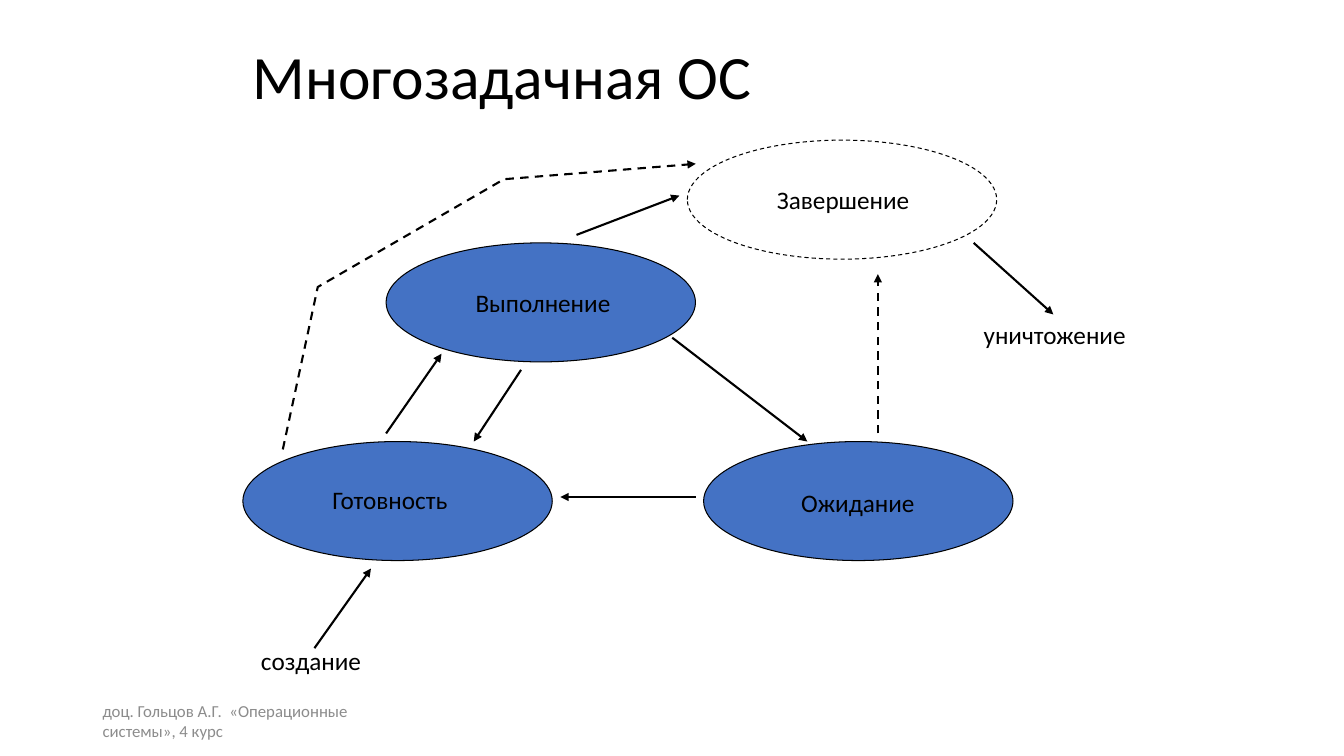
from dataclasses import dataclass

from lxml.etree import SubElement
from pptx import Presentation
from pptx.dml.color import RGBColor
from pptx.enum.dml import MSO_LINE
from pptx.enum.shapes import MSO_CONNECTOR, MSO_SHAPE
from pptx.enum.text import MSO_ANCHOR, PP_ALIGN
from pptx.oxml.ns import qn
from pptx.util import Pt

COLORS = {"ink": "000000", "state": "4472C4", "paper": "FFFFFF", "footer": "8C8C8C"}
FONT = "Calibri"
STATE_W, STATE_H = 221, 85
LABEL_H = 28.8


@dataclass(frozen=True)
class Label:
    text: str
    x: float
    y: float
    w: float
    h: float = LABEL_H
    size: float = 18
    color: str = "ink"
    anchor: MSO_ANCHOR = MSO_ANCHOR.TOP


@dataclass(frozen=True)
class State:
    x: float
    y: float
    label: Label
    fill: str = "state"
    dashed: bool = False


@dataclass(frozen=True)
class Arrow:
    points: tuple[tuple[float, float], ...]
    dashed: bool = False


STATES = [
    State(275.8, 173.5, Label("Выполнение", 332.6, 201.6, 141.8)),
    State(502.6, 315.4, Label("Ожидание", 565.2, 344.2, 108)),
    State(173.5, 315.4, Label("Готовность", 230.4, 342.7, 141.8)),
    State(491, 100.1, Label("Завершение", 547.9, 128.2, 141.8), "paper", True),
]
NOTES = [
    Label("создание", 179.3, 457.2, 164.2),
    Label("уничтожение", 695.5, 224.6, 130.3),
    Label("доц. Гольцов А.Г.  «Операционные системы», 4 курс",
          66.2, 500.4, 216, size=12, color="footer", anchor=MSO_ANCHOR.MIDDLE),
]
ARROWS = [
    Arrow(((224.6, 463), (265, 406.1))),    # creation -> ready
    Arrow(((411.8, 167.8), (485.3, 139.7))),  # running -> finished
    Arrow(((275.8, 309.6), (315.4, 252.7))),  # ready -> running
    Arrow(((372.2, 264.2), (338.4, 315.4))),  # running -> ready
    Arrow(((480.2, 241.2), (576.7, 315.4))),  # running -> waiting
    Arrow(((496.8, 355), (400.3, 355))),    # waiting -> ready
    Arrow(((627.1, 309.6), (627.1, 195.8)), True),  # waiting -> finished
    Arrow(((695.5, 173.5), (752.4, 224.6))),  # finished -> destruction
    Arrow(((202.3, 321.1), (226.8, 205.2), (360, 128.2), (496.8, 116.6)), True),
]


def rgb(name: str) -> RGBColor:
    return RGBColor.from_string(COLORS[name])


def apply(target, formats: dict) -> None:
    for name, value in formats.items():
        setattr(target, name, value)


def write(tf, text: str, size: float, color: str, anchor: MSO_ANCHOR) -> None:
    apply(tf, {"word_wrap": True, "vertical_anchor": anchor})
    p = tf.paragraphs[0]
    p.alignment = PP_ALIGN.LEFT
    r = p.add_run()
    r.text = text
    apply(r.font, {"name": FONT, "size": Pt(size)})
    r.font.color.rgb = rgb(color)


def add_label(shapes, label: Label) -> None:
    sp = shapes.add_textbox(Pt(label.x), Pt(label.y), Pt(label.w), Pt(label.h))
    write(sp.text_frame, label.text, label.size, label.color, label.anchor)


def style_line(line, width: float, dashed: bool) -> None:
    line.color.rgb = rgb("ink")
    line.width = Pt(width)
    if dashed:
        line.dash_style = MSO_LINE.DASH


def add_state(shapes, state: State) -> None:
    group = shapes.add_group_shape()
    sp = group.shapes.add_shape(MSO_SHAPE.OVAL, Pt(state.x), Pt(state.y),
                                Pt(STATE_W), Pt(STATE_H))
    sp.shadow.inherit = False
    sp.fill.solid()
    sp.fill.fore_color.rgb = rgb(state.fill)
    style_line(sp.line, 0.75, state.dashed)
    add_label(group.shapes, state.label)


def add_arrow(shapes, arrow: Arrow) -> None:
    start, *rest = arrow.points
    if len(rest) == 1:
        end = rest[0]
        sp = shapes.add_connector(MSO_CONNECTOR.STRAIGHT,
                                  *(Pt(v) for v in (*start, *end)))
    else:
        builder = shapes.build_freeform(*start, scale=Pt(1))
        builder.add_line_segments(rest, close=False)
        sp = builder.convert_to_shape()
        sp.fill.background()
    style_line(sp.line, 1.5, arrow.dashed)
    props = sp._element.spPr
    SubElement(props.find(qn("a:ln")), qn("a:tailEnd"),
               type="triangle", w="med", len="med")
    SubElement(props, qn("a:effectLst"))


def main() -> None:
    prs = Presentation()
    apply(prs, {"slide_width": Pt(960), "slide_height": Pt(540)})
    slide = prs.slides.add_slide(prs.slide_layouts[5])
    shapes = slide.shapes

    # Title
    title = shapes.title
    apply(title, {"left": Pt(173.5), "top": Pt(20.2),
                  "width": Pt(648), "height": Pt(73.4)})
    write(title.text_frame, "Многозадачная ОС", 44, "ink", MSO_ANCHOR.MIDDLE)
    title.text_frame.paragraphs[0].line_spacing = 0.9

    # Process states, transitions and captions
    for state in STATES:
        add_state(shapes, state)
    for arrow in ARROWS:
        add_arrow(shapes, arrow)
    for note in NOTES:
        add_label(shapes, note)

    prs.save("out.pptx")


if __name__ == "__main__":
    main()
